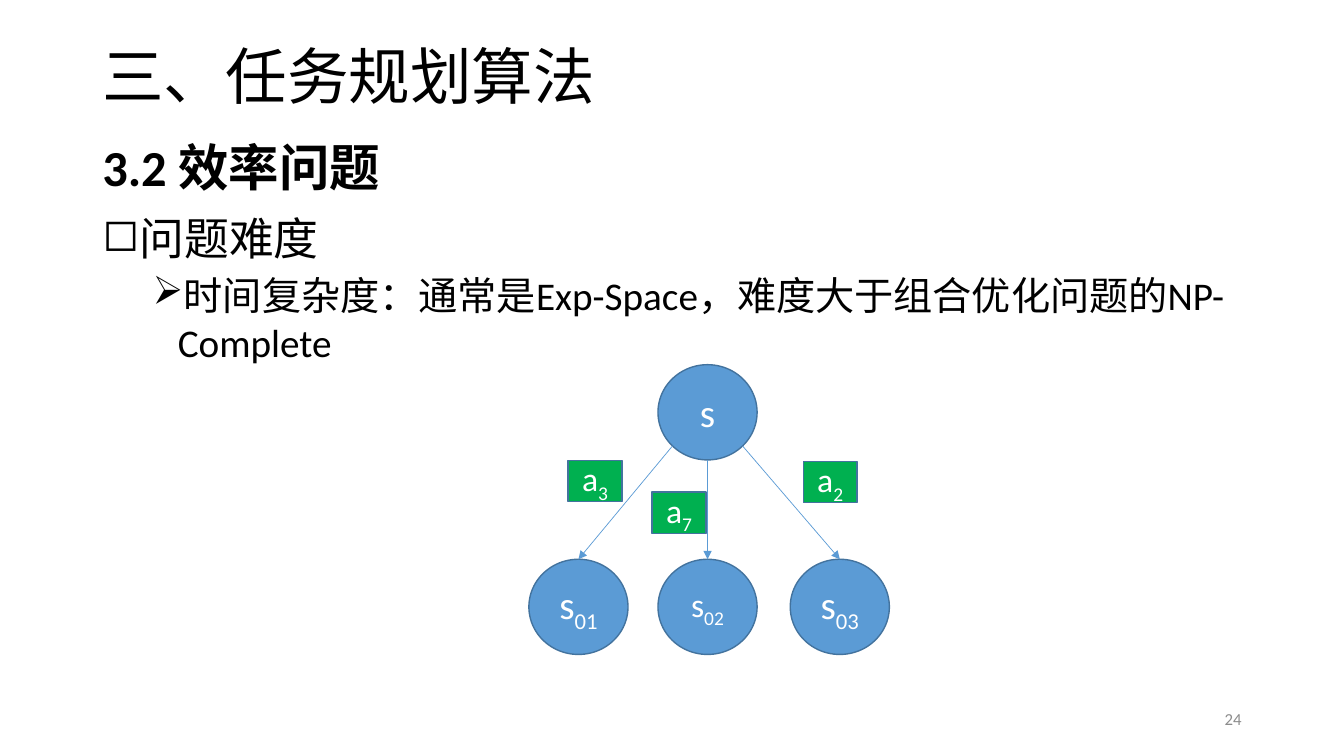
from math import sqrt

from lxml import etree
from pptx import Presentation
from pptx.dml.color import RGBColor
from pptx.enum import shapes, text
from pptx.oxml import ns
from pptx.util import Pt

FONT = "Calibri"
BLACK, GREY, WHITE = "000000", "8C8C8C", "FFFFFF"
BLUE, DARK_BLUE, GREEN = "5B9BD5", "43739E", "00B050"

TITLE = "三、任务规划算法"
PAGE_NUMBER = "24"
# wording, size, bold, space before, left margin, bullet
BODY = [
    ("3.2 效率问题", 36, True, 10, 0, None),
    ("问题难度", 32, False, 10, 18, "◻"),
    ("时间复杂度：通常是Exp-Space，难度大于组合优化问题的NP-Complete", 28, False, 5, 54, "➢"),
]
HANGING = 18

NODE_WIDTH, NODE_HEIGHT = 70.8, 68
ROOT_LEFT, ROOT_TOP = 470, 260.5
CHILD_TOP = 399.5
# subscript, text size, left
CHILDREN = [("01", 28, 377.8), ("02", 24, ROOT_LEFT), ("03", 28, 564.5)]
LABEL_WIDTH, LABEL_HEIGHT = 38.5, 29.5
# subscript, left, top
ACTIONS = [("3", 405.8, 328.8), ("7", 465.8, 351.5), ("2", 573.8, 329.5)]


def color(hex_string):
    return RGBColor.from_string(hex_string)


def style_runs(paragraph, size, hex_string, bold=False):
    for run in paragraph.runs:
        run.font.name = FONT
        run.font.size = Pt(size)
        run.font.bold = bold
        run.font.color.rgb = color(hex_string)


def add_text_box(left, top, width, height, anchor):
    frame = slide.shapes.add_textbox(Pt(left), Pt(top), Pt(width), Pt(height)).text_frame
    frame.word_wrap = True
    frame.vertical_anchor = anchor
    return frame


def set_bullet(paragraph, margin, character):
    properties = paragraph._p.get_or_add_pPr()
    properties.set("marL", str(Pt(margin)))
    properties.set("indent", str(Pt(-HANGING)))
    etree.SubElement(properties, ns.qn("a:buChar")).set("char", character)


def add_symbol(kind, left, top, width, height, fill, letter, subscript, size):
    """Draw a filled shape holding a letter with an optional subscript."""
    shape = slide.shapes.add_shape(kind, Pt(left), Pt(top), Pt(width), Pt(height))
    shape.shadow.inherit = False
    shape.fill.solid()
    shape.fill.fore_color.rgb = color(fill)
    shape.line.color.rgb = color(DARK_BLUE)
    shape.line.width = Pt(1)
    shape.text_frame.word_wrap = True
    shape.text_frame.vertical_anchor = text.MSO_ANCHOR.MIDDLE
    paragraph = shape.text_frame.paragraphs[0]
    paragraph.text = letter
    paragraph.alignment = text.PP_ALIGN.CENTER
    if subscript:
        run = paragraph.add_run()
        run.text = subscript
        run._r.get_or_add_rPr().set("baseline", "-25000")
    style_runs(paragraph, size, WHITE)


def add_node(left, top, subscript, size):
    add_symbol(shapes.MSO_SHAPE.OVAL, left, top, NODE_WIDTH, NODE_HEIGHT,
               BLUE, "s", subscript, size)


def add_arrow(start, end):
    arrow = slide.shapes.add_connector(
        shapes.MSO_CONNECTOR.STRAIGHT, *(Pt(value) for value in (*start, *end)))
    arrow.line.color.rgb = color(BLUE)
    arrow.line.width = Pt(0.5)
    etree.SubElement(arrow.line._get_or_add_ln(), ns.qn("a:tailEnd")).set("type", "triangle")
    etree.SubElement(arrow._element.spPr, ns.qn("a:effectLst"))


presentation = Presentation()
presentation.slide_width, presentation.slide_height = Pt(960), Pt(540)
slide = presentation.slides.add_slide(presentation.slide_layouts[6])

title = add_text_box(66, 28.8, 828, 56.2, text.MSO_ANCHOR.MIDDLE).paragraphs[0]
title.text = TITLE
title.line_spacing = 0.9
style_runs(title, 44, BLACK)

body = add_text_box(66, 93.6, 828, 392.4, text.MSO_ANCHOR.TOP)
body.text = "\n".join(row[0] for row in BODY)
for paragraph, (_, size, bold, before, margin, bullet) in zip(body.paragraphs, BODY):
    paragraph.space_before = Pt(before)
    style_runs(paragraph, size, BLACK, bold)
    if bullet:
        set_bullet(paragraph, margin, bullet)

number = add_text_box(678, 499, 216, 28.8, text.MSO_ANCHOR.MIDDLE).paragraphs[0]
number.text = PAGE_NUMBER
number.alignment = text.PP_ALIGN.RIGHT
style_runs(number, 12, GREY)

add_node(ROOT_LEFT, ROOT_TOP, "", 28)
for subscript, size, left in CHILDREN:
    add_node(left, CHILD_TOP, subscript, size)

# Arrows leave the root at its lower left, bottom and lower right.
center_x, center_y = ROOT_LEFT + NODE_WIDTH / 2, ROOT_TOP + NODE_HEIGHT / 2
diagonal = 1 / sqrt(2)
directions = [(-diagonal, diagonal), (0, 1), (diagonal, diagonal)]
for (across, down), (_, _, left) in zip(directions, CHILDREN):
    start = (center_x + across * NODE_WIDTH / 2, center_y + down * NODE_HEIGHT / 2)
    add_arrow(start, (left + NODE_WIDTH / 2, CHILD_TOP))

for subscript, left, top in ACTIONS:
    add_symbol(shapes.MSO_SHAPE.RECTANGLE, left, top, LABEL_WIDTH, LABEL_HEIGHT,
               GREEN, "a", subscript, 24)

presentation.save("out.pptx")
